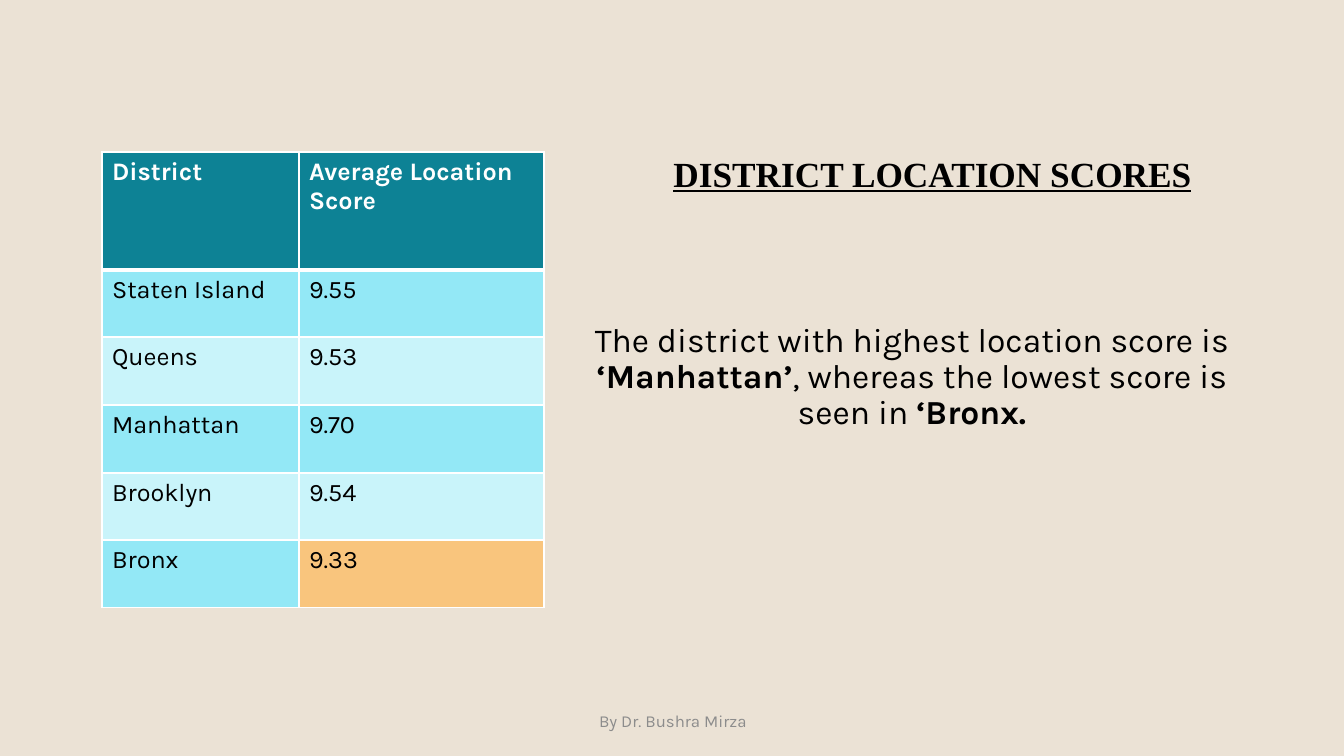
"""Build the district location scores slide."""
from dataclasses import dataclass

from lxml import etree
from pptx import Presentation
from pptx import util as u
from pptx.dml.color import RGBColor
from pptx.enum import text
from pptx.oxml.ns import qn

EMU_PER_PX = 914400 / 100.8
BLACK, WHITE, GREY = "000000", "FFFFFF", "8C8C8C"
SAND, TEAL, AQUA, PALE, ORANGE = "EBE2D5", "0D8295", "93E8F6", "C9F4FA", "F9C57D"
COLUMN_WIDTHS = (197, 245)
ROW_HEIGHTS = (118, 67, 68, 68, 67, 68)


@dataclass(frozen=True)
class Area:
    left: int
    top: int
    width: int
    height: int


@dataclass(frozen=True)
class Row:
    district: str
    score: str
    score_fill: str = ""


ROWS = (
    Row("District", "Average Location Score"),
    Row("Staten Island", "9.55"),
    Row("Queens", "9.53"),
    Row("Manhattan", "9.70"),
    Row("Brooklyn", "9.54"),
    Row("Bronx", "9.33", ORANGE),
)


def px(length: int) -> u.Emu:
    return u.Emu(round(length * EMU_PER_PX))


def bounds(area: Area) -> tuple[u.Emu, ...]:
    return px(area.left), px(area.top), px(area.width), px(area.height)


def paint(target, colour: str) -> None:
    target.solid()
    target.fore_color.rgb = RGBColor.from_string(colour)


def write(para, words: str, *, size: float, colour: str = BLACK, font: str = "Karla",
          bold: bool = False, underline: bool = False) -> None:
    span = para.add_run()
    span.text = words
    span.font.name = font
    span.font.size = u.Pt(size)
    span.font.bold = bold
    span.font.underline = underline
    span.font.color.rgb = RGBColor.from_string(colour)


def place_text(box, area: Area, *, spacing: float = 1.0, before: float = 0):
    box.left, box.top, box.width, box.height = bounds(area)
    frame = box.text_frame
    frame.word_wrap = True
    frame.auto_size = text.MSO_AUTO_SIZE.NONE
    frame.vertical_anchor = text.MSO_ANCHOR.MIDDLE
    para = frame.paragraphs[0]
    para.alignment = text.PP_ALIGN.CENTER
    para.line_spacing = spacing
    para.space_before = u.Pt(before)
    return para


def add_text(page, area: Area, *, spacing: float = 1.0, before: float = 0):
    box = page.shapes.add_textbox(*bounds(area))
    return place_text(box, area, spacing=spacing, before=before)


def add_border(cell, side: str, points: int) -> None:
    properties = cell._tc.get_or_add_tcPr()
    line = etree.SubElement(properties, qn(f"a:{side}"), w=str(u.Pt(points)))
    fill = etree.SubElement(line, qn("a:solidFill"))
    etree.SubElement(fill, qn("a:srgbClr"), val=WHITE)


def format_cell(cell, words: str, row_index: int, fill: str) -> None:
    header = row_index == 0
    widths = {"lnL": 1, "lnR": 1, "lnT": 3 if row_index == 1 else 1, "lnB": 3 if header else 1}
    for side, points in widths.items():
        add_border(cell, side, points)
    paint(cell.fill, fill)
    write(cell.text_frame.paragraphs[0], words, size=18,
          colour=WHITE if header else BLACK, bold=header)


def add_scores(page) -> None:
    area = Area(102, 152, sum(COLUMN_WIDTHS), sum(ROW_HEIGHTS))
    table = page.shapes.add_table(len(ROWS), len(COLUMN_WIDTHS), *bounds(area)).table
    for column, width in zip(table.columns, COLUMN_WIDTHS):
        column.width = px(width)
    for index, (row, height) in enumerate(zip(ROWS, ROW_HEIGHTS)):
        table.rows[index].height = px(height)
        band = TEAL if index == 0 else AQUA if index % 2 else PALE
        format_cell(table.cell(index, 0), row.district, index, band)
        format_cell(table.cell(index, 1), row.score, index, row.score_fill or band)


def main() -> None:
    deck = Presentation()
    deck.slide_width, deck.slide_height = px(1344), px(756)
    page = deck.slides.add_slide(deck.slide_layouts.get_by_name("Title Only"))
    paint(page.background.fill, SAND)

    heading = place_text(page.shapes.title, Area(584, 152, 697, 48), spacing=0.9)
    write(heading, "DISTRICT LOCATION SCORES", size=25.2, font="Times New Roman",
          bold=True, underline=True)

    byline = add_text(page, Area(446, 701, 454, 40))
    write(byline, "By Dr. Bushra Mirza", size=12, colour=GREY)

    add_scores(page)

    finding = add_text(page, Area(572, 109, 680, 537), spacing=0.9, before=10)
    for words, bold in (
        ("The district with highest location score is ", False),
        ("‘Manhattan’", True),
        (", whereas the lowest score is seen in ", False),
        ("‘Bronx.", True),
    ):
        write(finding, words, size=24, bold=bold)

    deck.save("out.pptx")


if __name__ == "__main__":
    main()
